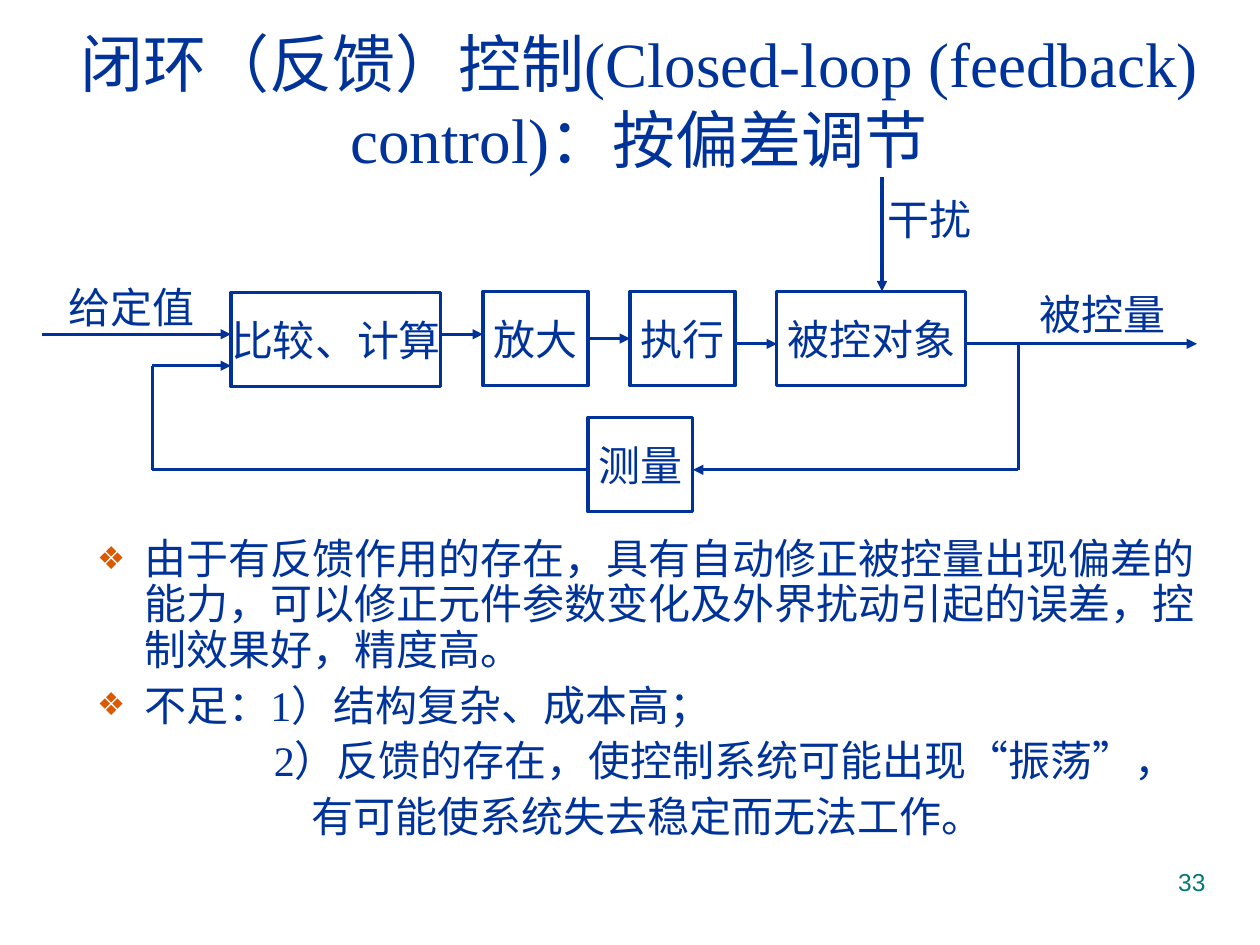
from lxml.etree import SubElement
from pptx import Presentation
from pptx.dml.color import RGBColor
from pptx.enum.shapes import MSO_CONNECTOR, MSO_SHAPE
from pptx.enum.text import MSO_ANCHOR, MSO_AUTO_SIZE, PP_ALIGN
from pptx.oxml.ns import qn
from pptx.util import Pt

NAVY = RGBColor(0x00, 0x33, 0x99)
TEAL = RGBColor(0x00, 0x7A, 0x77)
ORANGE = RGBColor(0xDC, 0x59, 0x00)
SERIF = "Times New Roman"

ROW_TOP, BOX_HEIGHT = 166.5, 54
SETPOINT_Y, OUTPUT_Y, RETURN_Y, FEEDBACK_Y = 191, 196.5, 268.5, 209
RETURN_LEFT, RETURN_RIGHT = 87, 582

BOXES = {
    "比较、计算": (132, ROW_TOP + 0.5, 120),
    "放大": (276, ROW_TOP, 60),
    "执行": (360, ROW_TOP, 60),
    "被控对象": (444, ROW_TOP, 108),
    "测量": (336, ROW_TOP + 72, 60),
}
LABELS = {
    "给定值": (24, 160.5, 102, 30),
    "干扰": (498, 101, 66, 48),
    "被控量": (588, 173, 84, 12),
}
ARROWS = [
    (24, SETPOINT_Y, 132, SETPOINT_Y),
    (252, SETPOINT_Y, 276, SETPOINT_Y),
    (420, OUTPUT_Y, 444, OUTPUT_Y),
    (552, OUTPUT_Y, 684, OUTPUT_Y),
    (504, 101, 504, ROW_TOP),
    (RETURN_RIGHT, RETURN_Y, 396, RETURN_Y),
    (RETURN_LEFT, FEEDBACK_Y, 132, FEEDBACK_Y),
]
PLAIN_LINES = [
    (RETURN_RIGHT, OUTPUT_Y, RETURN_RIGHT, RETURN_Y),
    (336, RETURN_Y, RETURN_LEFT, RETURN_Y),
    (RETURN_LEFT, RETURN_Y, RETURN_LEFT, FEEDBACK_Y),
]
BULLET_INDENT = 27
BODY = [
    ("由于有反馈作用的存在，具有自动修正被控量出现偏差的能力，可以修正元件参数变化及外界扰动引起的误差，控制效果好，精度高。", BULLET_INDENT, True),
    ("不足：1）结构复杂、成本高；", BULLET_INDENT, True),
    ("2）反馈的存在，使控制系统可能出现“振荡”，", 101, False),
    ("有可能使系统失去稳定而无法工作。", 122.5, False),
]


def set_values(target, values):
    """Set each named attribute of the target."""
    for name, value in values.items():
        setattr(target, name, value)


def add_text(paragraph, text, size, color=NAVY, font_name=SERIF):
    """Add one formatted run to the paragraph."""
    run = paragraph.add_run()
    run.text = text
    set_values(run.font, {"size": Pt(size), "name": font_name})
    run.font.color.rgb = color


def place(shape, left, top, width, height):
    """Move and size a shape."""
    values = {"left": left, "top": top, "width": width, "height": height}
    set_values(shape, {name: Pt(value) for name, value in values.items()})


def center_text(shape, text, size=24, wrap=False):
    """Write text in the middle of a shape."""
    frame = shape.text_frame
    set_values(frame, {"word_wrap": wrap, "auto_size": MSO_AUTO_SIZE.NONE,
                       "vertical_anchor": MSO_ANCHOR.MIDDLE})
    frame.paragraphs[0].alignment = PP_ALIGN.CENTER
    add_text(frame.paragraphs[0], text, size)


def add_box(slide, text, left, top, width):
    """Add an outlined block of the control loop."""
    box = slide.shapes.add_shape(MSO_SHAPE.RECTANGLE, Pt(left), Pt(top), Pt(width), Pt(BOX_HEIGHT))
    box.shadow.inherit = False
    box.fill.background()
    box.line.color.rgb = NAVY
    box.line.width = Pt(1.75)
    center_text(box, text)
    return box


def add_line(slide, ends, arrow=False):
    """Add a signal line, with an arrowhead at its end if asked."""
    line = slide.shapes.add_connector(MSO_CONNECTOR.STRAIGHT, *map(Pt, ends))
    line.line.color.rgb = NAVY
    line.line.width = Pt(1.75)
    if arrow:
        SubElement(line.line._get_or_add_ln(), qn("a:tailEnd"), type="triangle")
    SubElement(line._element.spPr, qn("a:effectLst"))
    return line


def set_bullet(paragraph, shown):
    """Give the paragraph a diamond bullet or none."""
    properties = paragraph._p.get_or_add_pPr()
    if shown:
        color = SubElement(properties, qn("a:buClr"))
        SubElement(color, qn("a:srgbClr"), val=str(ORANGE))
        SubElement(properties, qn("a:buSzPct"), val="75000")
        SubElement(properties, qn("a:buChar"), char="❖")
    else:
        SubElement(properties, qn("a:buNone"))


def fill_body(body):
    """Write the list of remarks below the diagram."""
    place(body, 48.25, 304, 642, 199)
    frame = body.text_frame
    set_values(frame, {"word_wrap": True, "auto_size": MSO_AUTO_SIZE.NONE,
                       "vertical_anchor": MSO_ANCHOR.TOP})
    for index, (text, margin, bulleted) in enumerate(BODY):
        paragraph = frame.add_paragraph() if index else frame.paragraphs[0]
        properties = paragraph._p.get_or_add_pPr()
        properties.set("marL", str(Pt(margin)))
        properties.set("indent", str(Pt(-BULLET_INDENT if bulleted else 0)))
        set_bullet(paragraph, bulleted)
        set_values(paragraph, {"line_spacing": 0.9, "space_before": Pt(6 if index else 0),
                               "alignment": PP_ALIGN.LEFT})
        add_text(paragraph, text, 24)


def add_label(slide, text, bounds):
    """Add a signal name beside its line."""
    center_text(slide.shapes.add_textbox(*map(Pt, bounds)), text)


def add_page_number(slide, number):
    """Add the page number at the lower right."""
    shape = slide.shapes.add_textbox(Pt(516), Pt(492), Pt(180), Pt(37.5))
    shape.text_frame.word_wrap = True
    paragraph = shape.text_frame.paragraphs[0]
    paragraph.alignment = PP_ALIGN.RIGHT
    add_text(paragraph, number, 14, TEAL, "Arial")


def main():
    """Build the closed-loop control slide."""
    presentation = Presentation()
    set_values(presentation, {"slide_width": Pt(720), "slide_height": Pt(540)})
    slide = presentation.slides.add_slide(presentation.slide_layouts[1])
    title, body = slide.placeholders
    place(title, 30, 14.5, 670.5, 85.5)
    center_text(title, "闭环（反馈）控制(Closed-loop (feedback) control)：按偏差调节", 36, True)
    fill_body(body)
    boxes = {text: add_box(slide, text, *bounds) for text, bounds in BOXES.items()}
    for ends in ARROWS:
        add_line(slide, ends, arrow=True)
    for ends in PLAIN_LINES:
        add_line(slide, ends)
    drive = add_line(slide, (336, 193.5, 360, 193.5), arrow=True)
    drive.begin_connect(boxes["放大"], 3)
    drive.end_connect(boxes["执行"], 1)
    for text, bounds in LABELS.items():
        add_label(slide, text, bounds)
    add_page_number(slide, "33")
    presentation.save("out.pptx")


if __name__ == "__main__":
    main()
